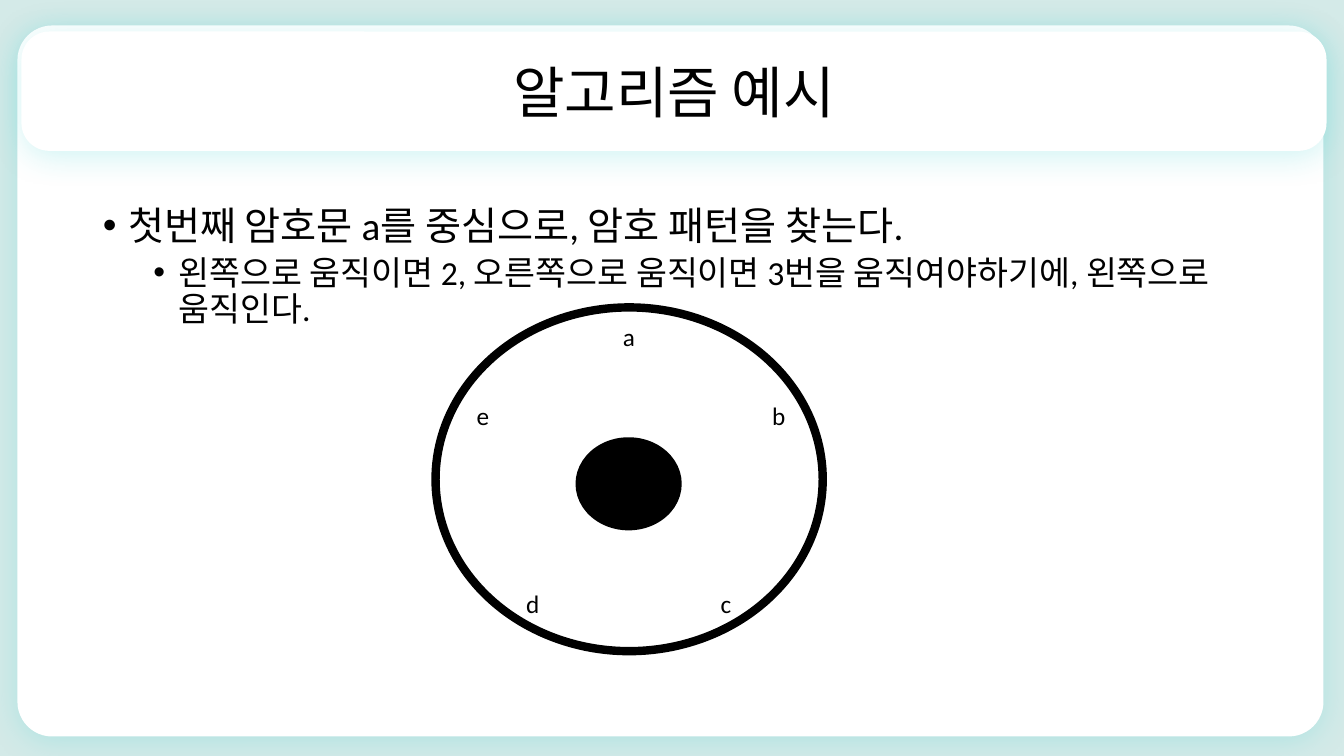
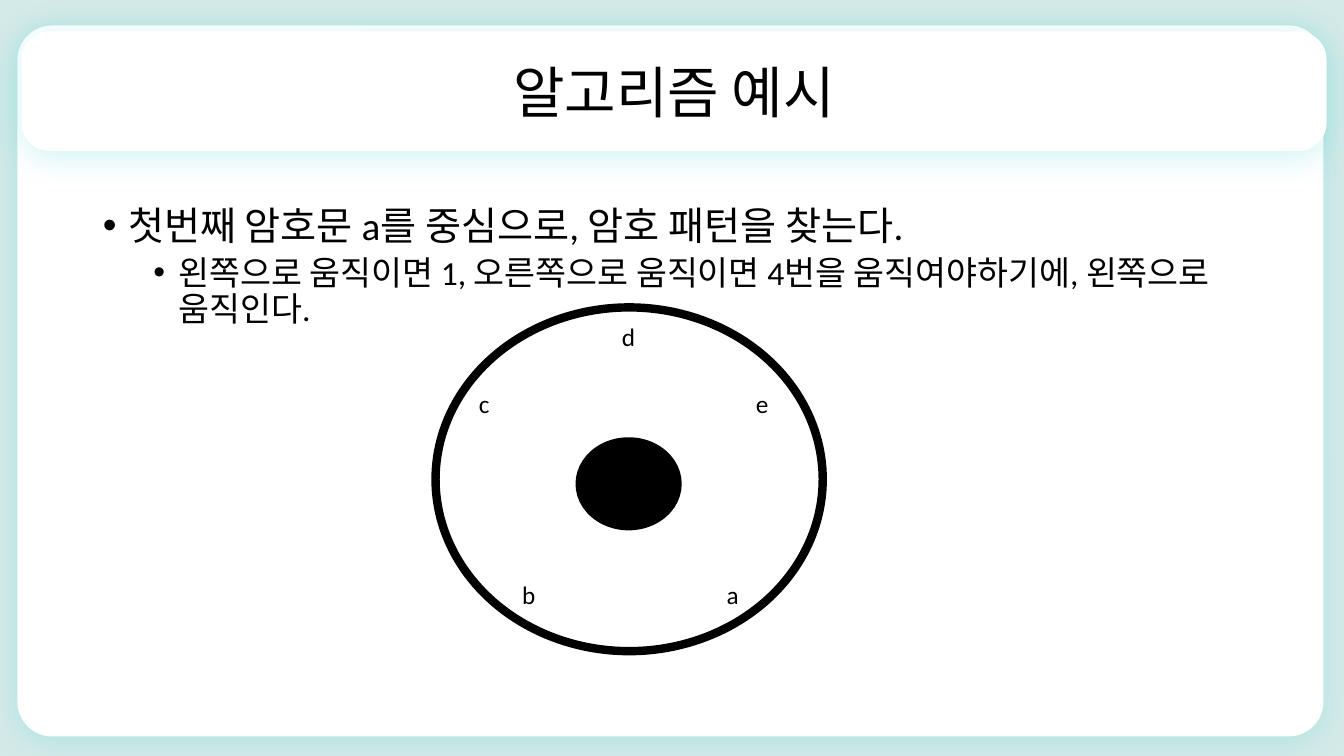
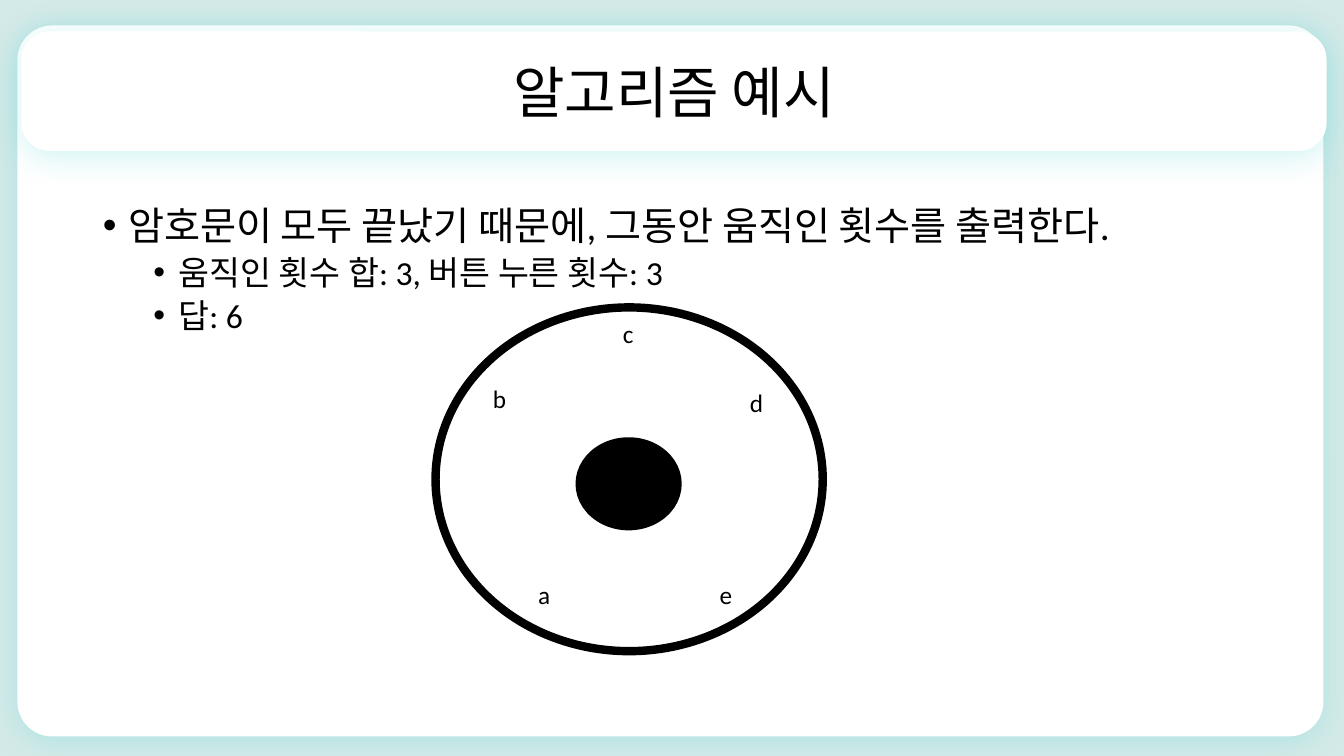
from dataclasses import dataclass

from lxml.etree import SubElement
from pptx import Presentation
from pptx.dml.color import RGBColor
from pptx.enum.shapes import MSO_SHAPE
from pptx.enum.text import MSO_ANCHOR, MSO_AUTO_SIZE, PP_ALIGN
from pptx.oxml.ns import qn
from pptx.util import Inches, Pt

COLORS = {"back": "D4EAE8", "panel": "FFFFFF", "glow": "18CACA", "ink": "000000"}
FONT = "Calibri"
TITLE = "알고리즘 예시"


@dataclass
class Box:
    left: float
    top: float
    width: float
    height: float

    def place(self) -> tuple:
        return tuple(Inches(n) for n in (self.left, self.top, self.width, self.height))


@dataclass
class Panel:
    box: Box
    round: float


@dataclass
class Level:
    size: int
    indent: float
    before: int


@dataclass
class Mark:
    text: str
    left: float
    top: float
    width: float


@dataclass
class Page:
    items: list[tuple[int, str]]
    marks: list[Mark]


BAND = Box(0.22, 0.32, 12.93, 1.17)
PANELS = [Panel(Box(0.18, 0.26, 12.94, 7.04), 0.048), Panel(BAND, 0.23)]
BODY = Box(0.92, 2, 11.5, 4.76)
RING = Box(4.32, 3.05, 3.84, 3.41)
HUB = Box(5.75, 4.38, 0.97, 0.84)
LEVELS = [Level(28, 0.25, 10), Level(24, 0.75, 5)]


def color(name: str) -> RGBColor:
    return RGBColor.from_string(COLORS[name])


def style(para, size: int) -> None:
    para.font.name = FONT
    para.font.size = Pt(size)
    para.font.color.rgb = color("ink")


def draw(shapes, kind, box: Box, fill: str | None, line: str, weight: int):
    shape = shapes.add_shape(kind, *box.place())
    if fill:
        shape.fill.solid()
        shape.fill.fore_color.rgb = color(fill)
    else:
        shape.fill.background()
    shape.line.color.rgb = color(line)
    shape.line.width = Pt(weight)
    shape.shadow.inherit = False
    return shape


def glow(shape) -> None:
    effects = shape._element.spPr.find(qn("a:effectLst"))
    shade = SubElement(effects, qn("a:outerShdw"), blurRad=str(Pt(23)),
                       dist=str(Pt(3)), dir="5400000", algn="t", rotWithShape="0")
    tint = SubElement(shade, qn("a:srgbClr"), val=COLORS["glow"])
    SubElement(tint, qn("a:alpha"), val="20000")


def settle(slide, holder, box: Box):
    """Move a placeholder to its box, in front of the panels."""
    holder.left, holder.top, holder.width, holder.height = box.place()
    slide.shapes._spTree.append(holder._element)
    frame = holder.text_frame
    frame.word_wrap = True
    frame.auto_size = MSO_AUTO_SIZE.NONE
    return frame


def frame_page(slide) -> None:
    draw(slide.shapes, MSO_SHAPE.RECTANGLE, Box(0, 0, 13.33, 7.5), "back", "back", 1)
    for panel in PANELS:
        shape = draw(slide.shapes, MSO_SHAPE.ROUNDED_RECTANGLE, panel.box,
                     "panel", "panel", 1)
        shape.adjustments[0] = panel.round
        glow(shape)
    frame = settle(slide, slide.shapes.title, BAND)
    frame.vertical_anchor = MSO_ANCHOR.MIDDLE
    frame.text = TITLE
    frame.paragraphs[0].alignment = PP_ALIGN.CENTER
    style(frame.paragraphs[0], 40)


def add_list(slide, items: list[tuple[int, str]]) -> None:
    frame = settle(slide, slide.placeholders[1], BODY)
    frame.text = "\n".join(text for _, text in items)
    for para, (depth, _) in zip(frame.paragraphs, items):
        level = LEVELS[depth]
        para.level = depth
        para.line_spacing = 0.9
        para.space_before = Pt(level.before)
        style(para, level.size)
        # Bullet and hanging indent
        props = para._p.get_or_add_pPr()
        props.set("marL", str(Inches(level.indent)))
        props.set("indent", str(Inches(-0.25)))
        bullet = props.makeelement(qn("a:buChar"), {"char": "•"})
        props.find(qn("a:defRPr")).addprevious(bullet)


def add_wheel(slide, marks: list[Mark]) -> None:
    shapes = slide.shapes.add_group_shape().shapes
    draw(shapes, MSO_SHAPE.OVAL, RING, None, "ink", 6)
    for mark in marks:
        box = Box(mark.left, mark.top, mark.width, 0.4)
        frame = shapes.add_textbox(*box.place()).text_frame
        frame.word_wrap = True
        frame.auto_size = MSO_AUTO_SIZE.SHAPE_TO_FIT_TEXT
        frame.text = mark.text
        style(frame.paragraphs[0], 18)
    draw(shapes, MSO_SHAPE.OVAL, HUB, "ink", "ink", 6)


def search(left: int, right: int) -> list[tuple[int, str]]:
    return [
        (0, "첫번째 암호문 a를 중심으로, 암호 패턴을 찾는다."),
        (1, f"왼쪽으로 움직이면 {left}, 오른쪽으로 움직이면 {right}번을 "
            "움직여야하기에, 왼쪽으로 움직인다."),
    ]


PAGES = [
    Page(search(2, 3), [
        Mark("a", 6.08, 3.14, 0.32), Mark("b", 7.56, 3.92, 0.34),
        Mark("c", 7.05, 5.79, 0.31), Mark("d", 5.12, 5.79, 0.34),
        Mark("e", 4.63, 3.92, 0.33),
    ]),
    Page(search(1, 4), [
        Mark("a", 7.11, 5.7, 0.43), Mark("b", 5.08, 5.7, 0.34),
        Mark("c", 4.65, 3.8, 0.31), Mark("d", 6.07, 3.14, 0.34),
        Mark("e", 7.4, 3.8, 0.33),
    ]),
    Page([
        (0, "암호문이 모두 끝났기 때문에, 그동안 움직인 횟수를 출력한다."),
        (1, "움직인 횟수 합: 3, 버튼 누른 횟수: 3"),
        (1, "답: 6"),
    ], [
        Mark("a", 5.24, 5.7, 0.43), Mark("b", 4.79, 3.75, 0.34),
        Mark("c", 6.08, 3.11, 0.31), Mark("d", 7.34, 3.79, 0.34),
        Mark("e", 7.04, 5.7, 0.33),
    ]),
]

# Build the deck
deck = Presentation()
deck.slide_width, deck.slide_height = Inches(13.33), Inches(7.5)
for page in PAGES:
    slide = deck.slides.add_slide(deck.slide_layouts[1])
    frame_page(slide)
    add_list(slide, page.items)
    add_wheel(slide, page.marks)
deck.save("out.pptx")
